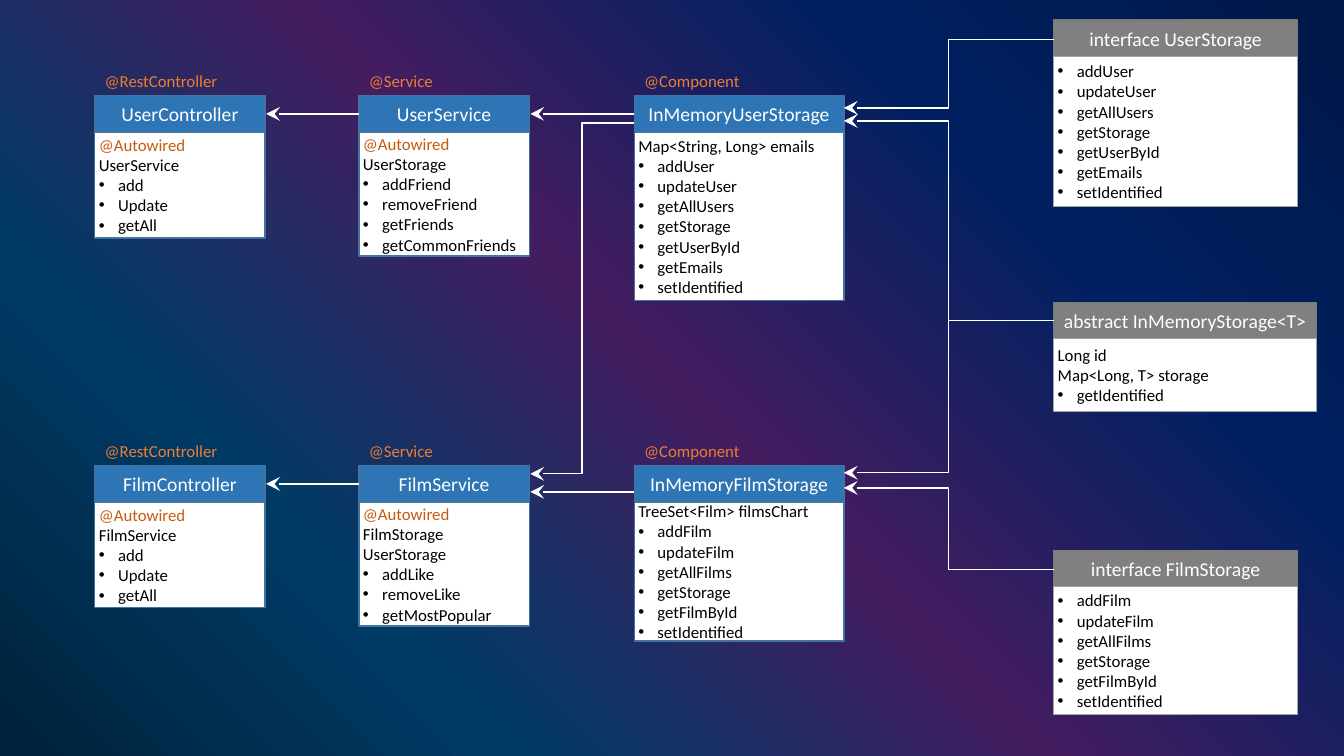
from lxml.etree import SubElement
from pptx import Presentation
from pptx.dml.color import RGBColor
from pptx.enum.shapes import MSO_CONNECTOR, MSO_SHAPE
from pptx.enum.text import MSO_ANCHOR, MSO_AUTO_SIZE, PP_ALIGN
from pptx.oxml import parse_xml
from pptx.oxml.ns import nsdecls, qn
from pptx.util import Inches, Pt

WHITE = RGBColor(0xFF, 0xFF, 0xFF)
BLACK = RGBColor(0x00, 0x00, 0x00)
BLUE = RGBColor(0x2E, 0x75, 0xB6)
BLUE_EDGE = RGBColor(0x43, 0x73, 0x9E)
GRAY = RGBColor(0x80, 0x80, 0x80)
GRAY_EDGE = RGBColor(0x7A, 0x7A, 0x7A)
LIGHT_GRAY = RGBColor(0xA5, 0xA5, 0xA5)
ORANGE = RGBColor(0xED, 0x7D, 0x31)
DARK_ORANGE = RGBColor(0xC5, 0x5A, 0x11)
CLASS_COLORS = (BLUE, BLUE_EDGE, BLUE_EDGE)
ABSTRACT_COLORS = (GRAY, GRAY_EDGE, LIGHT_GRAY)
BACKDROP = [(0, "001848"), (25, "002060"), (50, "431D60"), (75, "003B66"), (100, "00223A")]

HEADER_HEIGHT = 0.36
LABEL_HEIGHT = 0.3
CONTROLLER_X, SERVICE_X, STORAGE_X, PARENT_X = 0.94, 3.56, 6.29, 10.45
CLASS_WIDTH, STORAGE_WIDTH, PARENT_WIDTH = 1.69, 2.08, 2.42
CONTROLLER_EDGE, SERVICE_EDGE, STORAGE_EDGE = 2.64, 5.26, 8.37
USER_TOP, FILM_TOP = 0.95, 4.62

CONTROLLER_METHODS = ["add", "Update", "getAll"]
USER_METHODS = ["addUser", "updateUser", "getAllUsers", "getStorage",
                "getUserById", "getEmails", "setIdentified"]
FILM_METHODS = ["addFilm", "updateFilm", "getAllFilms", "getStorage",
                "getFilmById", "setIdentified"]


def paint_background(slide):
    """Fill the slide with a radial gradient centred on the top right corner."""
    slide.background.fill.gradient()
    gradient = slide.background._cSld.find(".//" + qn("a:gradFill"))
    stops = "".join(f'<a:gs pos="{position * 1000}"><a:srgbClr val="{color}"/></a:gs>'
                    for position, color in BACKDROP)
    radial = parse_xml(
        f'<a:gradFill {nsdecls("a")} rotWithShape="1"><a:gsLst>{stops}</a:gsLst>'
        '<a:path path="circle"><a:fillToRect l="100000" b="100000"/></a:path></a:gradFill>')
    gradient.getparent().replace(gradient, radial)


def add_text(paragraph, text, size, color):
    """Append one formatted run."""
    run = paragraph.add_run()
    run.text = text
    run.font.name = "Calibri"
    run.font.size = Pt(size)
    run.font.color.rgb = color


def add_panel(slide, box, fill, edge):
    """Draw an outlined rectangle and return its text frame."""
    panel = slide.shapes.add_shape(MSO_SHAPE.RECTANGLE, *map(Inches, box))
    panel.shadow.inherit = False
    panel.fill.solid()
    panel.fill.fore_color.rgb = fill
    panel.line.color.rgb = edge
    panel.line.width = Pt(1)
    frame = panel.text_frame
    frame.word_wrap = True
    frame.vertical_anchor = MSO_ANCHOR.MIDDLE
    return frame


def add_class(slide, box, name, fields, methods, colors):
    """Draw a class card: header, then fields and bulleted methods."""
    left, top, width, height = box
    fill, header_edge, body_edge = colors
    header = add_panel(slide, (left, top, width, HEADER_HEIGHT), fill, header_edge)
    header.paragraphs[0].alignment = PP_ALIGN.CENTER
    add_text(header.paragraphs[0], name, 14, WHITE)

    body = add_panel(slide, (left, top + HEADER_HEIGHT, width, height - HEADER_HEIGHT),
                     WHITE, body_edge)
    body.margin_left = body.margin_right = Inches(0.04)
    members = fields + methods
    for index, member in enumerate(members):
        paragraph = body.add_paragraph() if index else body.paragraphs[0]
        paragraph.alignment = PP_ALIGN.LEFT
        if index >= len(fields):
            properties = paragraph._p.get_or_add_pPr()
            properties.set("marL", str(Inches(0.19)))
            properties.set("indent", str(-Inches(0.19)))
            SubElement(properties, qn("a:buFont"), typeface="Arial")
            SubElement(properties, qn("a:buChar"), char="•")
        add_text(paragraph, member, 12, DARK_ORANGE if member.startswith("@") else BLACK)


def add_annotation(slide, left, top, width, text):
    """Place the annotation above a class card."""
    label = slide.shapes.add_textbox(*map(Inches, (left, top, width, LABEL_HEIGHT)))
    label.text_frame.word_wrap = True
    label.text_frame.auto_size = MSO_AUTO_SIZE.SHAPE_TO_FIT_TEXT
    add_text(label.text_frame.paragraphs[0], text, 12, ORANGE)


def add_layer_row(slide, top, cards):
    """Draw the controller, service and storage of one entity from left to right."""
    columns = [("@RestController", CONTROLLER_X, CLASS_WIDTH),
               ("@Service", SERVICE_X, CLASS_WIDTH),
               ("@Component", STORAGE_X, STORAGE_WIDTH)]
    for (annotation, left, width), (name, height, fields, methods) in zip(columns, cards):
        add_annotation(slide, left, top - LABEL_HEIGHT, width, annotation)
        add_class(slide, (left, top, width, height), name, fields, methods, CLASS_COLORS)


def add_parents(slide):
    """Draw the interfaces and the abstract class in the right column."""
    parents = [
        ("interface UserStorage", 0.2, PARENT_WIDTH, 1.85, [], USER_METHODS),
        ("abstract InMemoryStorage<T>", 3, 2.61, 1.08,
         ["Long id", "Map<Long, T> storage"], ["getIdentified"]),
        ("interface FilmStorage", 5.46, PARENT_WIDTH, 1.63, [], FILM_METHODS),
    ]
    for name, top, width, height, fields, methods in parents:
        add_class(slide, (PARENT_X, top, width, height), name, fields, methods, ABSTRACT_COLORS)


def add_arrow(slide, start_x, start_y, end_x, end_y):
    """Link two cards, with an elbow where their heights differ."""
    kind = MSO_CONNECTOR.STRAIGHT if start_y == end_y else MSO_CONNECTOR.ELBOW
    arrow = slide.shapes.add_connector(kind, *map(Inches, (start_x, start_y, end_x, end_y)))
    arrow.line.color.rgb = WHITE
    arrow.line.width = Pt(1)
    SubElement(arrow.line._get_or_add_ln(), qn("a:tailEnd"), type="stealth", w="lg", len="lg")
    SubElement(arrow._element.spPr, qn("a:effectLst"))


def add_arrows(slide):
    """Draw every dependency and inheritance arrow."""
    for start_y, end_y in [(0.39, 1.07), (3.18, 1.2), (3.18, 4.69), (5.65, 4.84)]:
        add_arrow(slide, PARENT_X, start_y, STORAGE_EDGE, end_y)
    for start_y, end_y in [(1.13, 1.13), (1.22, 4.7), (4.88, 4.88)]:
        add_arrow(slide, STORAGE_X, start_y, SERVICE_EDGE, end_y)
    for y in (1.13, 4.8):
        add_arrow(slide, SERVICE_X, y, CONTROLLER_EDGE, y)


def main():
    """Build the class diagram slide."""
    deck = Presentation()
    deck.slide_width, deck.slide_height = Inches(13.33), Inches(7.5)
    slide = deck.slides.add_slide(deck.slide_layouts[6])
    paint_background(slide)
    add_layer_row(slide, USER_TOP, [
        ("UserController", 1.41, ["@Autowired", "UserService"], CONTROLLER_METHODS),
        ("UserService", 1.59, ["@Autowired", "UserStorage"],
         ["addFriend", "removeFriend", "getFriends", "getCommonFriends"]),
        ("InMemoryUserStorage", 2.03, ["Map<String, Long> emails"], USER_METHODS),
    ])
    add_layer_row(slide, FILM_TOP, [
        ("FilmController", 1.41, ["@Autowired", "FilmService"], CONTROLLER_METHODS),
        ("FilmService", 1.59, ["@Autowired", "FilmStorage", "UserStorage"],
         ["addLike", "removeLike", "getMostPopular"]),
        ("InMemoryFilmStorage", 1.74, ["TreeSet<Film> filmsChart"], FILM_METHODS),
    ])
    add_parents(slide)
    add_arrows(slide)
    deck.save("out.pptx")


main()
